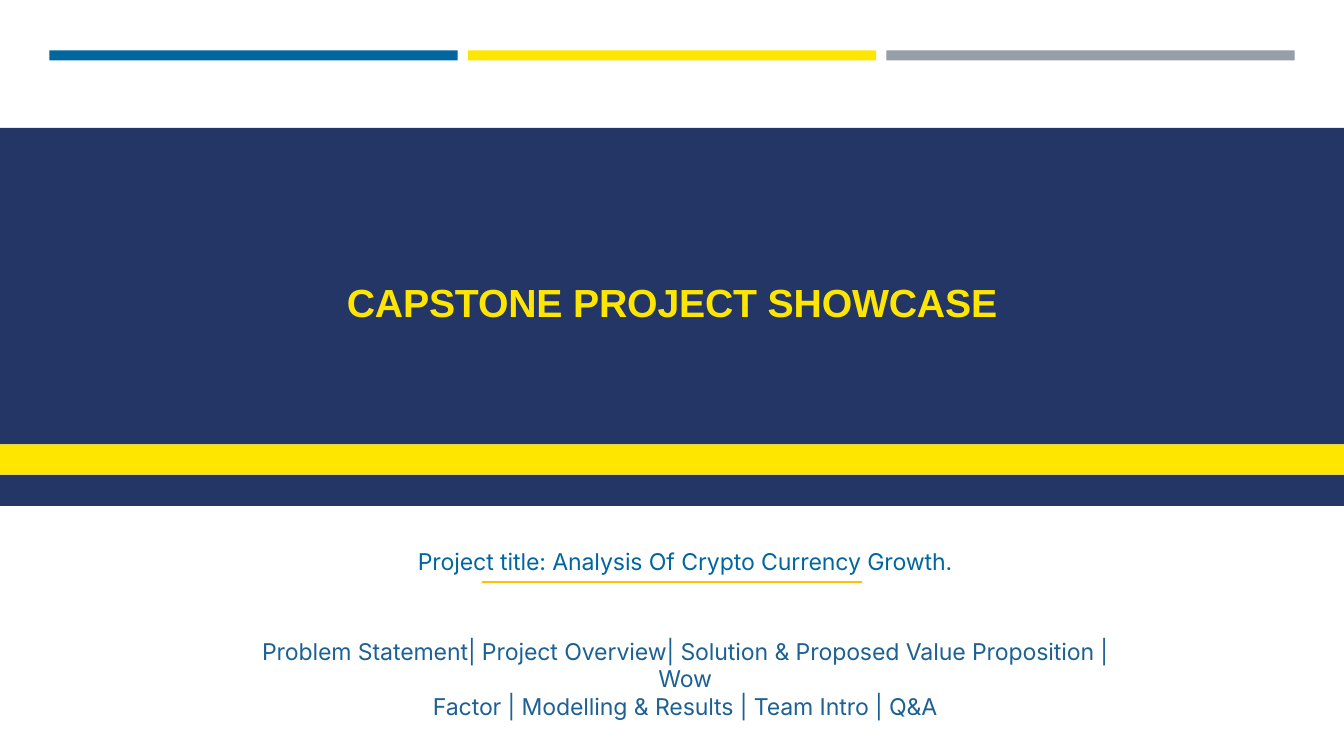
from pptx import Presentation
from pptx.dml.color import RGBColor
from pptx.enum.shapes import MSO_CONNECTOR, MSO_SHAPE
from pptx.enum.text import MSO_ANCHOR, PP_ALIGN
from pptx.oxml.ns import qn
from pptx.util import Inches, Pt
from lxml import etree

RECTANGLE = MSO_SHAPE.RECTANGLE
STRAIGHT = MSO_CONNECTOR.STRAIGHT
TOP = MSO_ANCHOR.TOP
CENTER = PP_ALIGN.CENTER

THEME = {
    "navy": "233666", "yellow": "FFE600", "blue": "0066A0", "gray": "959FA7",
    "gold": "FFC000", "agenda": "1D6194",
    "title_font": "Arial", "body_font": "Inter",
    "title_size": 28, "body_size": 16.5,
}
WIDTH, HEIGHT = 13.33, 7.5

deck = Presentation()
deck.slide_width, deck.slide_height = Inches(WIDTH), Inches(HEIGHT)
slide = deck.slides.add_slide(deck.slide_layouts[6])


def add_bar(left, top, width, height, color):
    bar = slide.shapes.add_shape(
        RECTANGLE, Inches(left), Inches(top), Inches(width), Inches(height))
    bar.shadow.inherit = False
    bar.fill.solid()
    bar.fill.fore_color.rgb = RGBColor.from_string(THEME[color])
    bar.line.fill.background()
    return bar


def write(paragraph, text, *, font, size, color, bold=False, before=0, tracking=0):
    paragraph.alignment = CENTER
    paragraph.space_before = Pt(before)
    run = paragraph.add_run()
    run.text = text
    run.font.name = THEME[font]
    run.font.size = Pt(THEME[size])
    run.font.bold = bold
    run.font.color.rgb = RGBColor.from_string(THEME[color])
    run.font._element.set("spc", str(round(tracking * 100)))


# Three equal accent bars across the top
margin, gap = 0.49, 0.1
accent_width = (WIDTH - 2 * margin - 2 * gap) / 3
for column, color in enumerate(("blue", "yellow", "gray")):
    add_bar(margin + column * (accent_width + gap), 0.5, accent_width, 0.1, color)

# Full-width bands, stacked from the title band down
band_top = 1.27
bands = []
for height, color in ((3.14, "navy"), (0.3, "yellow"), (0.31, "navy")):
    bands.append(add_bar(0, band_top, WIDTH, height, color))
    band_top += height

# Title in the first band
title = bands[0].text_frame
title.word_wrap = True
title.vertical_anchor = TOP
title.margin_left = title.margin_right = title.margin_bottom = 0
title.margin_top = Inches(1.49)
write(title.paragraphs[0], "CAPSTONE PROJECT SHOWCASE", font="title_font",
      size="title_size", color="yellow", bold=True, tracking=-0.1)

# Rule under the project title, centred on the slide
rule_width, rule_top = 3.77, Inches(5.77)
rule = slide.shapes.add_connector(
    STRAIGHT, Inches((WIDTH - rule_width) / 2), rule_top,
    Inches((WIDTH + rule_width) / 2), rule_top)
rule.line.color.rgb = RGBColor.from_string(THEME["gold"])
rule.line.width = Pt(1.44)
etree.SubElement(rule._element.spPr, qn("a:effectLst"))

# Project title and agenda
details = slide.shapes.add_textbox(
    Inches(2.5), Inches(5.4), Inches(8.59), Inches(1.45)).text_frame
details.word_wrap = True
details.vertical_anchor = TOP
details.margin_left = details.margin_right = details.margin_bottom = 0
details.margin_top = Inches(0.03)
lines = (
    ("Project title: Analysis Of Crypto Currency Growth.", "blue", 0),
    ("Problem Statement| Project Overview| Solution & Proposed Value Proposition | Wow",
     "agenda", 44.3),
    ("Factor | Modelling & Results | Team Intro | Q&A", "agenda", 0),
)
for number, (text, color, before) in enumerate(lines):
    paragraph = details.add_paragraph() if number else details.paragraphs[0]
    write(paragraph, text, font="body_font", size="body_size", color=color,
          before=before, tracking=-0.05)

deck.save("out.pptx")
